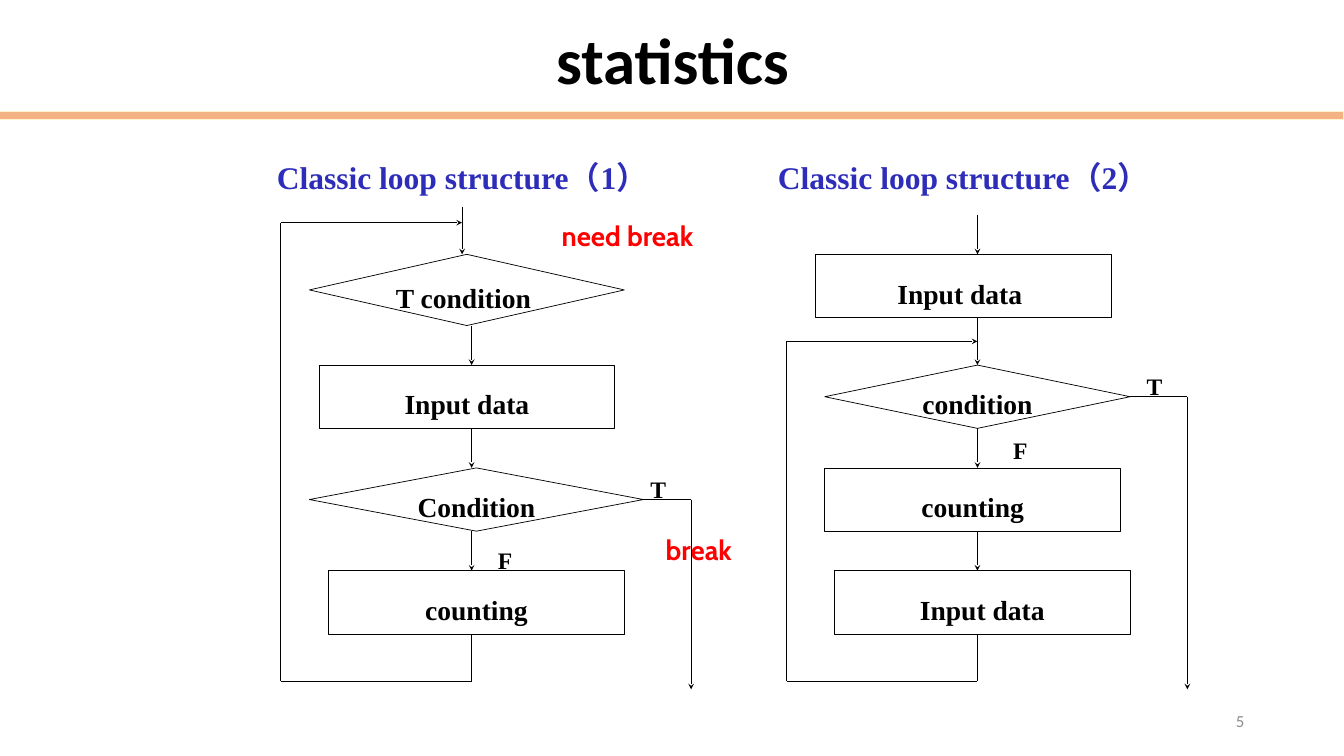
from dataclasses import dataclass

from lxml.etree import SubElement
from pptx import Presentation
from pptx.dml.color import RGBColor
from pptx.enum.shapes import MSO_CONNECTOR, MSO_SHAPE
from pptx.enum.text import MSO_ANCHOR, PP_ALIGN
from pptx.oxml.ns import qn
from pptx.util import Inches, Pt


@dataclass(frozen=True)
class Theme:
    """Colours, fonts and type sizes of the deck."""
    ink: str = "000000"
    paper: str = "FFFFFF"
    heading: str = "2D2DB9"
    note: str = "FF0000"
    muted: str = "8C8C8C"
    bar: str = "F4B183"
    bar_edge: str = "FFF2CC"
    title_font: str = "Calibri"
    flow_font: str = "Times New Roman"
    note_font: str = "Cabin"
    title_size: float = 66
    heading_size: float = 32
    step_size: float = 28
    branch_size: float = 24
    number_size: float = 17.1
    leading: float = 48
    stroke: float = 0.75


@dataclass(frozen=True)
class Box:
    """An area in inches, divided into a grid of columns and rows."""
    left: float
    top: float
    width: float
    height: float
    columns: int = 100
    rows: int = 100

    def point(self, column, row):
        """Return the position of a grid point in inches."""
        return (self.left + column * self.width / self.columns,
                self.top + row * self.height / self.rows)

    def area(self, column, row, wide, high, columns=100, rows=100):
        """Return a smaller box given in cells of this grid."""
        return Box(*self.point(column, row), wide * self.width / self.columns,
                   high * self.height / self.rows, columns, rows)

    def lengths(self):
        """Return left, top, width and height as slide lengths."""
        return [Inches(side) for side in (self.left, self.top, self.width, self.height)]


@dataclass(frozen=True)
class Flow:
    """One flow chart, measured in cells; steps run from top to bottom."""
    heading: str
    heading_column: float
    start: tuple
    loop_row: int
    exit_step: int
    steps: list
    branches: list
    notes: list


THEME = Theme()
TRUNK, LOOP_BOTTOM, EXIT_BOTTOM = 20, 60, 61
DIAMOND, RECTANGLE = MSO_SHAPE.DIAMOND, MSO_SHAPE.RECTANGLE
FIRST = Flow(
    "Classic loop structure（1）", -0.4, (19, 0), 2, 2,
    [(DIAMOND, "T condition ", 3, 6, 33, 9), (RECTANGLE, "Input data", 4, 20, 31, 8),
     (DIAMOND, "Condition", 3, 33, 35, 8), (RECTANGLE, "counting", 5, 46, 31, 8)],
    [("T", 38, 33, 3, 3), ("F", 22, 42, 3, 3)],
    [("break", 37.7, 39, 12.2, 6.9), (" need break", 24.3, -0.7, 23.4, 6.9)])
SECOND = Flow(
    "Classic loop structure（2）", -0.9, (20, 1), 17, 1,
    [(RECTANGLE, "Input data ", 3, 6, 31, 8), (DIAMOND, "condition", 4, 20, 32, 8),
     (RECTANGLE, "counting", 4, 33, 31, 8), (RECTANGLE, "Input data", 5, 46, 31, 8)],
    [("F", 23, 28, 2, 3), ("T", 37, 20, 3, 3)], [])


def write(shape, text, *, font, size, color=THEME.ink, bold=True, align=PP_ALIGN.CENTER,
          anchor=MSO_ANCHOR.MIDDLE, spacing=Pt(THEME.leading), wrap=True):
    """Put one formatted paragraph into a shape."""
    frame = shape.text_frame
    frame.word_wrap, frame.vertical_anchor = wrap, anchor
    para = frame.paragraphs[0]
    para.alignment, para.line_spacing = align, spacing
    span = para.add_run()
    span.text = text
    span.font.name, span.font.size, span.font.bold = font, Pt(size), bold
    span.font.color.rgb = RGBColor.from_string(color)
    return frame


def add_text(page, box, text, **style):
    """Add a text box with one formatted paragraph."""
    return write(page.shapes.add_textbox(*box.lengths()), text, **style)


def add_outline(page, kind, box, fill=THEME.paper, edge=THEME.ink, stroke=THEME.stroke):
    """Add a flat preset shape."""
    shape = page.shapes.add_shape(kind, *box.lengths())
    shape.shadow.inherit = False
    shape.fill.solid()
    shape.fill.fore_color.rgb = RGBColor.from_string(fill)
    shape.line.color.rgb = RGBColor.from_string(edge)
    shape.line.width = Pt(stroke)
    return shape


def add_route(page, box, points, arrow=True):
    """Join grid points with straight lines, the last one with an arrowhead."""
    for index, (start, end) in enumerate(zip(points, points[1:]), 2):
        ends = [Inches(value) for value in box.point(*start) + box.point(*end)]
        line = page.shapes.add_connector(MSO_CONNECTOR.STRAIGHT, *ends)
        line.line.color.rgb = RGBColor.from_string(THEME.ink)
        line.line.width = Pt(THEME.stroke)
        properties = line.element.spPr
        if arrow and index == len(points):
            SubElement(properties.find(qn("a:ln")), qn("a:tailEnd"), type="stealth")
        SubElement(properties, qn("a:effectLst"))


def draw_frame(page, box):
    """Draw the bar, the title and the slide number."""
    add_outline(page, RECTANGLE, box.area(0, 14.7, 100, 1.1),
                THEME.bar, THEME.bar_edge, 1)
    add_text(page, box.area(0.1, 0.6, 99.9, 15.6), "statistics",
             font=THEME.title_font, size=THEME.title_size, spacing=0.9)
    add_text(page, box.area(70.6, 92.7, 22.5, 5.3), "5", font=THEME.title_font,
             size=THEME.number_size, color=THEME.muted, bold=False,
             align=PP_ALIGN.RIGHT, spacing=1.0)


def draw_flow(page, box, flow):
    """Draw one loop: heading, notes, steps, return line and exit line."""
    for text, *cells in flow.notes:
        add_text(page, box.area(*cells), text, font=THEME.note_font,
                 size=THEME.step_size, color=THEME.note, anchor=MSO_ANCHOR.TOP)
    heading = add_text(page, box.area(flow.heading_column, -7.8, 45, 6.9), flow.heading,
                       font=THEME.flow_font, size=THEME.heading_size, color=THEME.heading,
                       align=PP_ALIGN.LEFT, anchor=MSO_ANCHOR.TOP)
    heading.margin_left = 0

    column, above = flow.start
    for kind, text, left, top, wide, high in flow.steps:
        step = add_outline(page, kind, box.area(left, top, wide, high))
        write(step, text, font=THEME.flow_font, size=THEME.step_size, wrap=False)
        add_route(page, box, [(column, above), (column, top)])
        column, above = TRUNK, top + high

    add_route(page, box, [(TRUNK, above), (TRUNK, LOOP_BOTTOM), (0, LOOP_BOTTOM),
                          (0, flow.loop_row), (flow.start[0], flow.loop_row)])
    left, top, wide, high = flow.steps[flow.exit_step][2:]
    middle = top + high / 2
    add_route(page, box, [(left + wide, middle), (box.columns, middle),
                          (box.columns, EXIT_BOTTOM)])
    for text, *cells in flow.branches:
        add_text(page, box.area(*cells), text, font=THEME.flow_font,
                 size=THEME.branch_size, wrap=False)


def build():
    """Build the slide and save the deck."""
    deck = Presentation()
    deck.slide_width, deck.slide_height = Inches(18.96), Inches(10.67)
    page = deck.slides.add_slide(deck.slide_layouts[6])
    whole = Box(0, 0, 18.96, 10.67)
    draw_frame(page, whole)
    body = whole.area(20.89, 27.37, 67.46, 63.82, columns=95, rows=61)
    for flow, left, columns in ((FIRST, 0, 43), (SECOND, 53, 42)):
        draw_flow(page, body.area(left, 0, columns, 61, columns, 61), flow)
    deck.save("out.pptx")


build()
